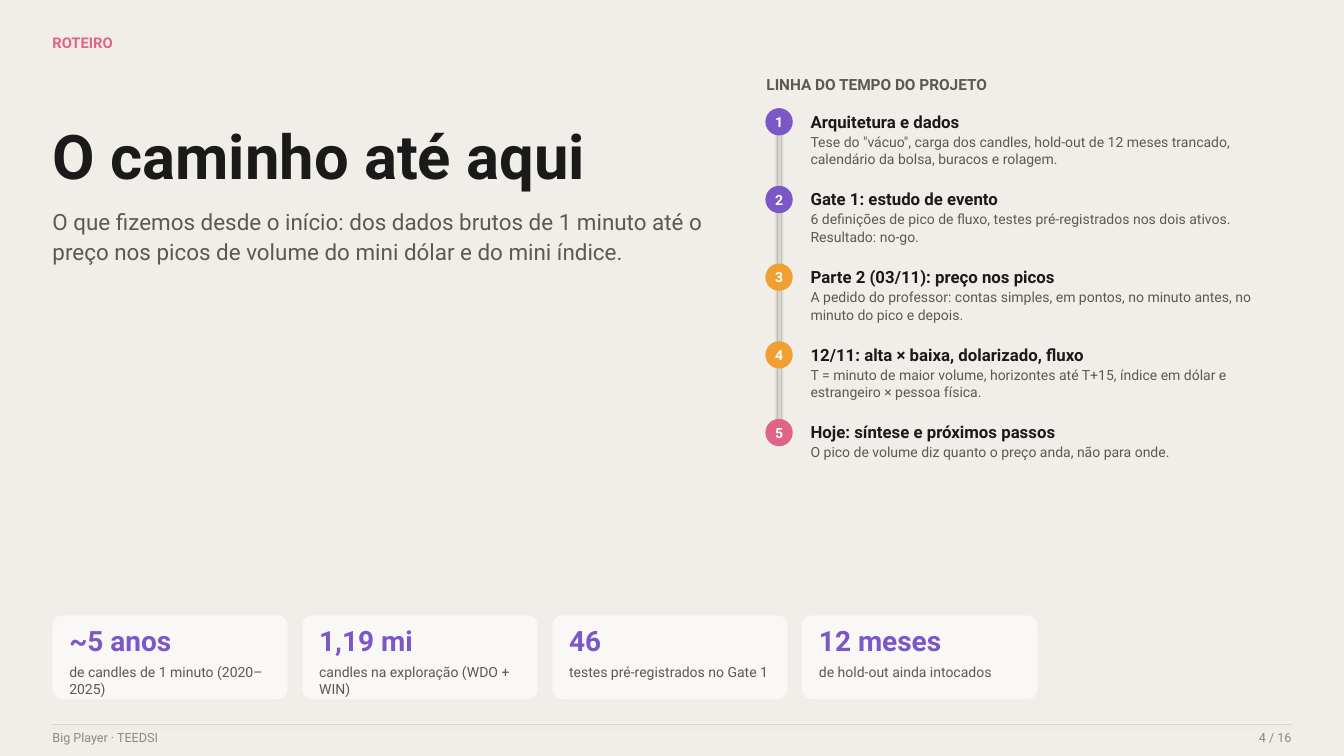
"""Build the project roadmap slide with its timeline and key figures."""
from dataclasses import dataclass

from lxml import etree
from pptx import Presentation
from pptx import util as u
from pptx.dml.color import RGBColor
from pptx.enum import shapes, text
from pptx.oxml.ns import qn

PX = u.Inches(1) / 64
FONT = "Roboto"
PURPLE, ORANGE, PINK = "7B57C8", "F0A030", "E06388"
INK, GREY, MUTED, RULE = "1A1A1A", "5C5852", "8E887F", "DAD5CD"
PAPER, WHITE = "F1EEE9", "FFFFFF"


@dataclass(frozen=True)
class Style:
    """Look of a single-run paragraph."""
    size: float
    color: str
    bold: bool = False
    align: text.PP_ALIGN = text.PP_ALIGN.LEFT
    spacing: float = 1.0


@dataclass(frozen=True)
class Step:
    """One stage of the timeline."""
    color: str
    heading: str
    detail: str


@dataclass(frozen=True)
class Figure:
    """One key number with its caption."""
    value: str
    caption: str


KICKER = Style(15.8, PINK, bold=True)
TITLE = Style(66, INK, bold=True)
SUBTITLE = Style(24, GREY, spacing=1.1)
SECTION = Style(16.5, GREY, bold=True)
BADGE = Style(15, WHITE, bold=True, align=text.PP_ALIGN.CENTER)
HEADING = Style(18, INK, bold=True)
DETAIL = Style(15, GREY, spacing=1.05)
VALUE = Style(30, PURPLE, bold=True)
CAPTION = Style(15, GREY)
FOOTER = Style(13.5, MUTED)
PAGE_NUMBER = Style(13.5, MUTED, align=text.PP_ALIGN.RIGHT)

STEPS = [
    Step(PURPLE, "Arquitetura e dados",
         'Tese do "vácuo", carga dos candles, hold-out de 12 meses trancado, '
         "calendário da bolsa, buracos e rolagem."),
    Step(PURPLE, "Gate 1: estudo de evento",
         "6 definições de pico de fluxo, testes pré-registrados nos dois ativos. "
         "Resultado: no-go."),
    Step(ORANGE, "Parte 2 (03/11): preço nos picos",
         "A pedido do professor: contas simples, em pontos, no minuto antes, "
         "no minuto do pico e depois."),
    Step(ORANGE, "12/11: alta × baixa, dolarizado, fluxo",
         "T = minuto de maior volume, horizontes até T+15, índice em dólar "
         "e estrangeiro × pessoa física."),
    Step(PINK, "Hoje: síntese e próximos passos",
         "O pico de volume diz quanto o preço anda, não para onde."),
]
FIGURES = [
    Figure("~5 anos", "de candles de 1 minuto (2020–2025)"),
    Figure("1,19 mi", "candles na exploração (WDO + WIN)"),
    Figure("46", "testes pré-registrados no Gate 1"),
    Figure("12 meses", "de hold-out ainda intocados"),
]
AXIS_X, AXIS_TOP, STEP_GAP, BADGE_SIZE = 742, 116, 74, 25
CARD_LEFT, CARD_TOP, CARD_WIDTH, CARD_HEIGHT, CARD_GAP = 50, 586, 224, 80, 14


def px(length: float) -> u.Emu:
    """Turn px into EMU."""
    return u.Emu(round(length * PX))


def paint(color_format, color: str) -> None:
    """Set a colour from a hex string."""
    color_format.rgb = RGBColor.from_string(color)


def write(shape, words: str, style: Style, anchor=text.MSO_ANCHOR.TOP) -> None:
    """Put one styled run into a shape without insets."""
    frame = shape.text_frame
    frame.word_wrap = True
    frame.vertical_anchor = anchor
    frame.margin_left = frame.margin_right = frame.margin_top = frame.margin_bottom = 0
    para = frame.paragraphs[0]
    para.alignment = style.align
    para.line_spacing = style.spacing
    span = para.add_run()
    span.text = words
    span.font.name = FONT
    span.font.size = u.Pt(style.size)
    span.font.bold = style.bold
    paint(span.font.color, style.color)


def add_text(page, left: int, top: int, width: int, height: int,
             words: str, style: Style) -> None:
    """Add a text box that grows with its text."""
    box = page.shapes.add_textbox(px(left), px(top), px(width), px(height))
    write(box, words, style)
    box.text_frame.auto_size = text.MSO_AUTO_SIZE.SHAPE_TO_FIT_TEXT


def add_title(page, words: str) -> None:
    """Place and format the title placeholder."""
    title = page.shapes.title
    title.left, title.top, title.width, title.height = map(px, (50, 112, 640, 80))
    write(title, words, TITLE)
    title.text_frame.auto_size = text.MSO_AUTO_SIZE.SHAPE_TO_FIT_TEXT


def add_line(page, x1: int, y1: int, x2: int, y2: int, weight: float) -> None:
    """Add a straight rule that keeps the soft shadow of the theme."""
    line = page.shapes.add_connector(
        shapes.MSO_CONNECTOR.STRAIGHT, px(x1), px(y1), px(x2), px(y2))
    line.line.width = u.Pt(weight)
    paint(line.line.color, RULE)


def add_step(page, index: int, step: Step) -> None:
    """Add a numbered badge with its heading and detail."""
    middle = AXIS_TOP + index * STEP_GAP
    badge = page.shapes.add_shape(
        shapes.MSO_SHAPE.OVAL, px(AXIS_X - BADGE_SIZE / 2),
        px(middle - BADGE_SIZE / 2), px(BADGE_SIZE), px(BADGE_SIZE))
    badge.shadow.inherit = False
    badge.fill.solid()
    paint(badge.fill.fore_color, step.color)
    paint(badge.line.color, step.color)
    badge.line.width = u.Pt(1.12)
    write(badge, str(index + 1), BADGE, text.MSO_ANCHOR.MIDDLE)
    add_text(page, 772, middle - 10, 455, 20, step.heading, HEADING)
    add_text(page, 772, middle + 10, 455, 40, step.detail, DETAIL)


def add_figure(page, index: int, figure: Figure) -> None:
    """Add a translucent card with a number and its caption."""
    left = CARD_LEFT + index * (CARD_WIDTH + CARD_GAP)
    card = page.shapes.add_shape(
        shapes.MSO_SHAPE.ROUNDED_RECTANGLE, px(left), px(CARD_TOP),
        px(CARD_WIDTH), px(CARD_HEIGHT))
    card.adjustments[0] = 0.12
    card.shadow.inherit = False
    card.fill.solid()
    paint(card.fill.fore_color, WHITE)
    color = card.fill._xPr.find(qn("a:solidFill"))[0]
    etree.SubElement(color, qn("a:alpha")).set("val", "60000")
    card.line.fill.background()
    add_text(page, left + 16, CARD_TOP + 8, 200, 34, figure.value, VALUE)
    add_text(page, left + 16, CARD_TOP + 46, 200, 30, figure.caption, CAPTION)


def main() -> None:
    """Build and save the deck."""
    deck = Presentation()
    deck.slide_width, deck.slide_height = px(1280), px(720)
    page = deck.slides.add_slide(deck.slide_layouts.get_by_name("Title Only"))
    page.background.fill.solid()
    paint(page.background.fill.fore_color, PAPER)

    add_text(page, 50, 32, 1000, 20, "ROTEIRO", KICKER)
    add_line(page, 50, 690, 1230, 690, 1.12)
    add_text(page, 50, 695, 300, 16, "Big Player · TEEDSI", FOOTER)
    add_text(page, 1130, 695, 100, 16, "4 / 16", PAGE_NUMBER)
    add_title(page, "O caminho até aqui")
    add_text(page, 50, 196, 640, 70,
             "O que fizemos desde o início: dos dados brutos de 1 minuto até o "
             "preço nos picos de volume do mini dólar e do mini índice.", SUBTITLE)

    add_text(page, 730, 72, 500, 20, "LINHA DO TEMPO DO PROJETO", SECTION)
    axis_bottom = AXIS_TOP + (len(STEPS) - 1) * STEP_GAP
    add_line(page, AXIS_X, AXIS_TOP, AXIS_X, axis_bottom, 3.37)
    for index, step in enumerate(STEPS):
        add_step(page, index, step)
    for index, figure in enumerate(FIGURES):
        add_figure(page, index, figure)
    deck.save("out.pptx")


if __name__ == "__main__":
    main()
